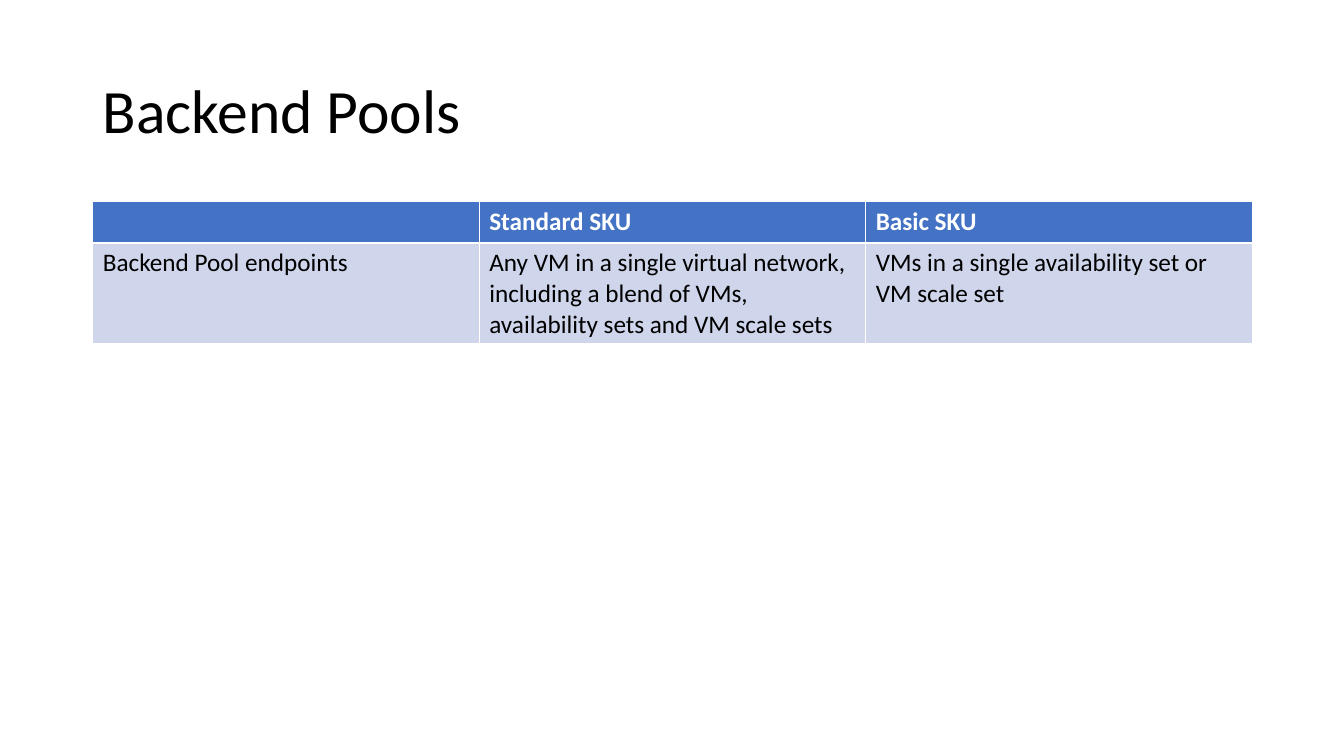
import pptx
import pptx.util
import pptx.dml.color
import pptx.enum.text

Inches = pptx.util.Inches
Pt = pptx.util.Pt

COLORS = {"text": "000000", "header": "4472C4", "header_text": "FFFFFF", "body": "CFD5EA"}


def rgb(name):
    return pptx.dml.color.RGBColor.from_string(COLORS[name])


class Deck:
    font = "Calibri"

    def __init__(self, width, height):
        self.prs = pptx.Presentation()
        self.prs.slide_width = Inches(width)
        self.prs.slide_height = Inches(height)
        self.s = self.prs.slides.add_slide(self.prs.slide_layouts[6])

    def add_text(self, tf, text, color, **formats):
        p = tf.paragraphs[0]
        r = p.add_run()
        r.text = text
        for name, value in {"name": self.font, **formats}.items():
            setattr(r.font, name, value)
        r.font.color.rgb = rgb(color)
        return p

    def title(self, box, text):
        sp = self.s.shapes.add_textbox(*map(Inches, box))
        tf = sp.text_frame
        tf.word_wrap = True
        tf.vertical_anchor = pptx.enum.text.MSO_ANCHOR.MIDDLE
        p = self.add_text(tf, text, "text", size=Pt(44))
        p.line_spacing = 0.9

    def table(self, box, heights, rows):
        shape = self.s.shapes.add_table(len(rows), len(rows[0]), *map(Inches, box))
        tbl = shape.table
        for i, (height, texts) in enumerate(zip(heights, rows)):
            tbl.rows[i].height = Inches(height)
            header = i == 0
            for j, text in enumerate(texts):
                cell = tbl.cell(i, j)
                cell.fill.solid()
                cell.fill.fore_color.rgb = rgb("header" if header else "body")
                if text:
                    self.add_text(cell.text_frame, text, "header_text" if header else "text",
                                  size=Pt(18), bold=header)


deck = Deck(13.33, 7.5)
deck.title((0.92, 0.4, 11.5, 1.45), "Backend Pools")
deck.table((0.92, 2, 11.5, 1.41), (0.41, 1), [
    ("", "Standard SKU", "Basic SKU"),
    ("Backend Pool endpoints",
     "Any VM in a single virtual network, including a blend of VMs, "
     "availability sets and VM scale sets",
     "VMs in a single availability set or VM scale set"),
])
deck.prs.save("out.pptx")
